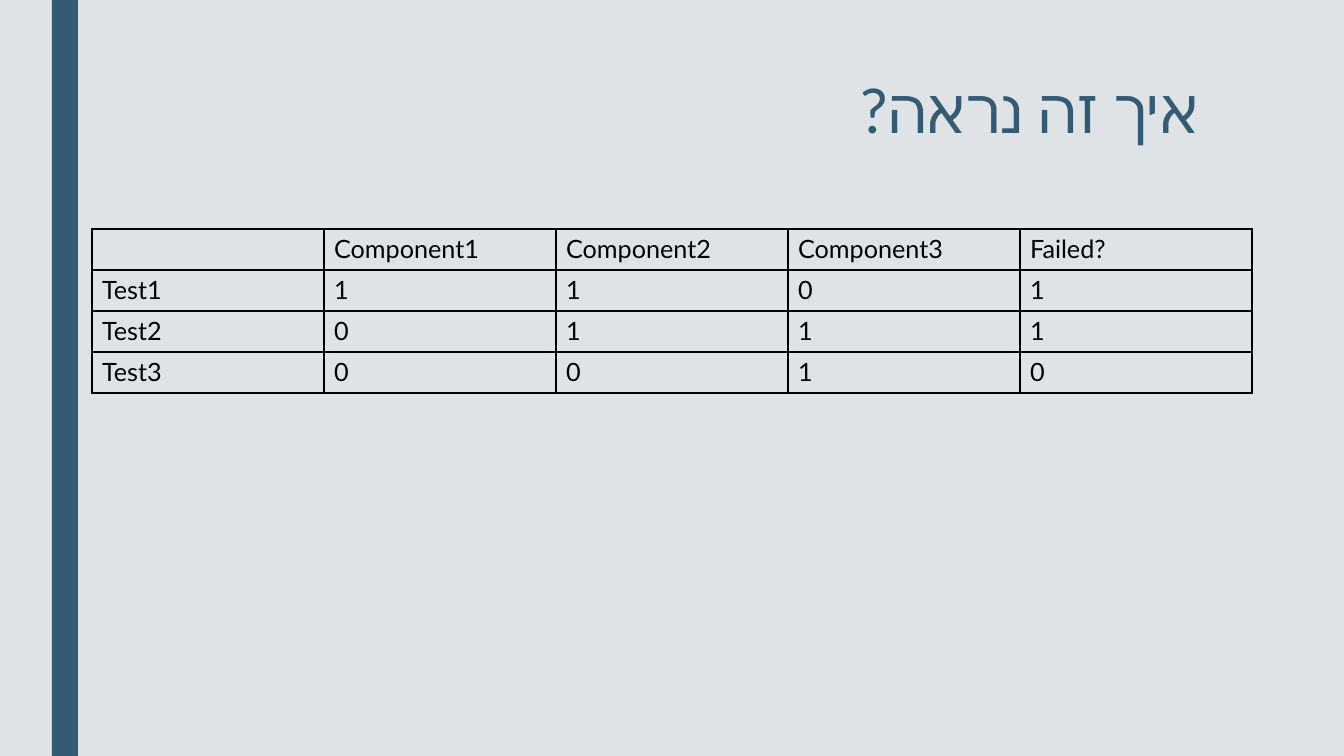
from lxml.etree import SubElement
from pptx import Presentation
from pptx.dml.color import RGBColor
from pptx.enum.shapes import MSO_SHAPE as Shape
from pptx.enum.text import MSO_ANCHOR as Anchor, PP_ALIGN as Align
from pptx.oxml.ns import qn
from pptx.util import Pt

SCALE = 914400 / 100.8
FONT = "Lato"
COLORS = {"background": "DFE3E5", "accent": "335B74", "ink": "000000"}
RESULTS = [
    ["", "Component1", "Component2", "Component3", "Failed?"],
    ["Test1", "1", "1", "0", "1"],
    ["Test2", "0", "1", "1", "1"],
    ["Test3", "0", "0", "1", "0"],
]


def px(n):
    return round(n * SCALE)


def rgb(name):
    return RGBColor.from_string(COLORS[name])


def write(tf, text, size=18, color="ink", align=Align.LEFT, spacing=None, rtl=False):
    p = tf.paragraphs[0]
    p.alignment = align
    if spacing:
        p.line_spacing = spacing
    if rtl:
        p._p.get_or_add_pPr().set("rtl", "1")
    r = p.add_run()
    r.text = text
    r.font.size = Pt(size)
    r.font.name = FONT
    r.font.color.rgb = rgb(color)
    SubElement(r._r.get_or_add_rPr(), qn("a:cs"), typeface=FONT)


def add_side_bar(s, x, y, w, h):
    sp = s.shapes.add_shape(Shape.RECTANGLE, px(x), px(y), px(w), px(h))
    sp.shadow.inherit = False
    sp.fill.solid()
    sp.fill.fore_color.rgb = rgb("accent")
    sp.line.fill.background()


def add_title(s, x, y, w, h):
    tf = s.shapes.add_textbox(px(x), px(y), px(w), px(h)).text_frame
    tf.word_wrap = True
    tf.vertical_anchor = Anchor.TOP
    write(tf, "איך זה נראה?", size=44, color="accent",
          align=Align.RIGHT, spacing=0.89, rtl=True)


def outline_cell(cell):
    tcPr = cell._tc.get_or_add_tcPr()
    for side in ("lnL", "lnR", "lnT", "lnB"):
        ln = SubElement(tcPr, qn(f"a:{side}"), w=str(Pt(1)))
        fill = SubElement(ln, qn("a:solidFill"))
        SubElement(fill, qn("a:srgbClr"), val=COLORS["ink"])


def add_results_table(s, x, y, w, h):
    n_rows, n_cols = len(RESULTS), len(RESULTS[0])
    table = s.shapes.add_table(n_rows, n_cols, px(x), px(y), px(w), px(h)).table
    table.first_row = table.horz_banding = False
    for i, row in enumerate(RESULTS):
        for j, text in enumerate(row):
            cell = table.cell(i, j)
            outline_cell(cell)
            cell.fill.background()
            if text:
                write(cell.text_frame, text)


def main():
    prs = Presentation()
    prs.slide_width, prs.slide_height = px(1344), px(756)
    s = prs.slides.add_slide(prs.slide_layouts[6])
    s.background.fill.solid()
    s.background.fill.fore_color.rgb = rgb("background")
    add_side_bar(s, 52, 0, 26, 756)
    add_title(s, 151, 76, 1058, 163)
    add_results_table(s, 92, 229, 1160, 164)
    prs.save("out.pptx")


if __name__ == "__main__":
    main()
